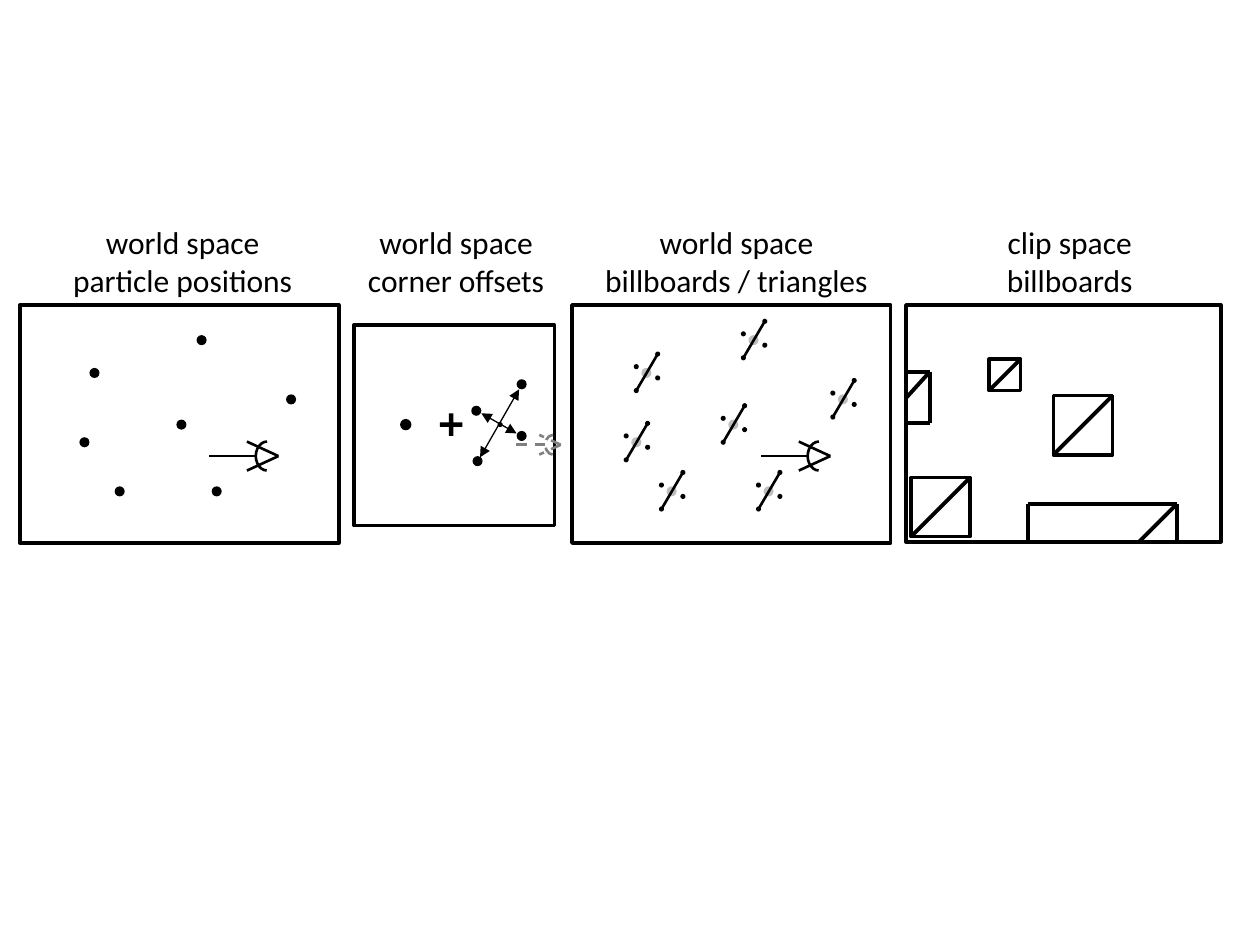
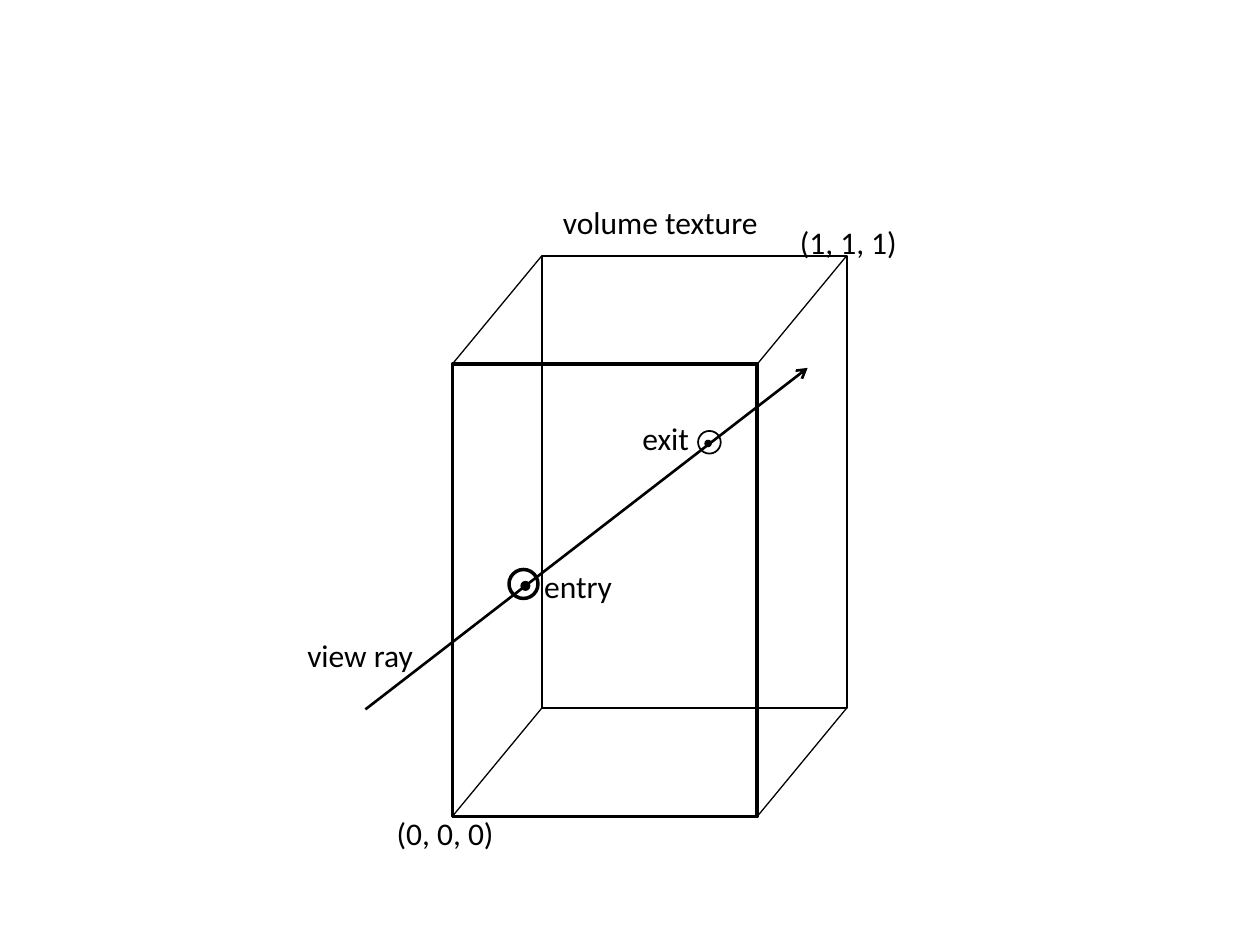
from dataclasses import dataclass
from pptx import Presentation
from pptx.dml.color import RGBColor
from pptx.enum.dml import MSO_LINE
from pptx.enum.shapes import MSO_CONNECTOR, MSO_SHAPE
from pptx.enum.text import MSO_AUTO_SIZE, PP_ALIGN
from pptx.oxml.ns import qn
from pptx.util import Pt
from lxml.etree import SubElement


@dataclass(frozen=True)
class Theme:
    ink: str = "000000"
    pale: str = "BFBFBF"
    gray: str = "808080"
    font: str = "Calibri"
    size: int = 18
    hair: float = 0.75
    thin: float = 1
    mid: float = 1.5
    bold: float = 2
    edge: float = 2.25


LOOK = Theme()
PX = 9144  # EMU in one px, 100 px to the inch
WIDE, HIGH = 1000, 750

# Slide 1: panels as left, top, width, height
WORLD = (16, 242, 253, 189)
OFFSET = (281, 258, 159, 159)
CLIP = (719, 242, 250, 188)
SHIFT = 438  # from the first world panel to the second
HEADS = [
    ("world space\vparticle positions", 47, 196),
    ("world space\vcorner offsets", 281, 162),
    ("world space\vbillboards / triangles", 469, 231),
    ("clip space\vbillboards", 789, 120),
]
HEAD_TOP, HEAD_HIGH = 172, 71

# Particle centres, and corners around each centre
SPOTS = [(144, 337), (75, 296), (67, 351), (95, 390),
         (160, 270), (172, 390), (231, 317)]
CORNERS = [(9, -15), (-8, 14), (9, 4), (-8, -5)]
BIG_CORNERS = [(414, 305), (379, 366), (414, 346), (378, 326)]
ARROWS = [((412, 309), (381, 363)), ((382, 328), (410, 344))]
EYE, SMALL_EYE = (221, 362), (445, 353)

# Clip space: whole squares, then outlines cut by the panel edge
SQUARES = [(836, 314, 47), (723, 379, 47), (785, 285, 25)]
CUTS = [
    [(816, 430), (816, 400), (934, 400), (934, 430)],
    [(934, 400), (904, 430)],
    [(719, 295), (738, 295), (738, 336), (719, 336)],
    [(738, 295), (719, 316)],
]

# Slide 2: the front face, its depth, the ray and its marks
FRONT = (359, 289, 242, 359)
DEPTH = (71, -86)
RAY = ((290, 563), (641, 292))
MARKS = [  # dot centre, dot size, ring centre, ring size, ring weight
    ((417, 465), 8, (415.5, 463.5), 23, LOOK.bold),
    ((562, 352), 6, (563, 351), 18, LOOK.thin),
]
LABELS = [
    ("view ray", 234, 500, 105),
    ("volume texture", 437, 156, 176),
    ("(0, 0, 0)", 305, 641, 98),
    ("(1, 1, 1)", 625, 172, 98),
    ("entry", 422, 445, 75),
    ("exit", 500, 328, 58),
]
LABEL_HIGH = 40


def emu(*vals):
    return [round(v * PX) for v in vals]


def paint(line, width, color=LOOK.ink, dash=False):
    line.color.rgb = RGBColor.from_string(color)
    line.width = Pt(width)
    if dash:
        line.dash_style = MSO_LINE.DASH


def form(slide, kind, box, fill=None, width=None, color=LOOK.ink, dash=False):
    item = slide.shapes.add_shape(kind, *emu(*box))
    item.shadow.inherit = False
    if fill:
        item.fill.solid()
        item.fill.fore_color.rgb = RGBColor.from_string(fill)
    else:
        item.fill.background()
    if width:
        paint(item.line, width, color, dash)
    else:
        item.line.fill.background()
    return item


def rect(slide, box, width=LOOK.bold):
    form(slide, MSO_SHAPE.RECTANGLE, box, width=width)


def disc(slide, mid, size, fill=LOOK.ink, width=None):
    x, y = mid
    form(slide, MSO_SHAPE.OVAL, (x - size / 2, y - size / 2, size, size), fill, width)


def link(slide, start, end, width=LOOK.mid, color=LOOK.ink, dash=False,
         head=None, tail=None):
    item = slide.shapes.add_connector(MSO_CONNECTOR.STRAIGHT, *emu(*start, *end))
    paint(item.line, width, color, dash)
    props = item._element.spPr
    for tag, tip in (("a:headEnd", head), ("a:tailEnd", tail)):
        if tip:
            SubElement(props.find(qn("a:ln")), qn(tag), type=tip)
    SubElement(props, qn("a:effectLst"))


def label(slide, text, box, align=PP_ALIGN.LEFT):
    frame = slide.shapes.add_textbox(*emu(*box)).text_frame
    frame.word_wrap = False
    frame.auto_size = MSO_AUTO_SIZE.SHAPE_TO_FIT_TEXT
    para = frame.paragraphs[0]
    para.text = text
    para.alignment = align
    for run in para.runs:
        run.font.name = LOOK.font
        run.font.size = Pt(LOOK.size)
        run.font.color.rgb = RGBColor.from_string(LOOK.ink)


def eye(slide, tip, scale=1.0, color=LOOK.ink, dash=False):
    def at(x, y):
        return tip[0] + x * scale, tip[1] + y * scale

    for start, end in [((0, 0), (-25, -11.5)), ((0, 0), (-25, 11.5)),
                       ((-18, 0), (-55, 0))]:
        link(slide, at(*start), at(*end), color=color, dash=dash)
    box = (*at(-18, -11.5), 18 * scale, 23 * scale)
    arc = form(slide, MSO_SHAPE.ARC, box, width=LOOK.mid, color=color, dash=dash)
    arc.adjustments[0], arc.adjustments[1] = 55, 162  # left half of the ellipse


def draw_world(slide, shift, cards):
    x, *rest = WORLD
    rect(slide, (x + shift, *rest))
    for sx, sy in SPOTS:
        mid = (sx + shift, sy)
        disc(slide, mid, 8, LOOK.pale if cards else LOOK.ink)
        if cards:
            ends = [(mid[0] + dx, mid[1] + dy) for dx, dy in CORNERS]
            for end in ends:
                disc(slide, end, 4)
            link(slide, ends[1], ends[0])
    eye(slide, (EYE[0] + shift, EYE[1]))


def draw_offset(slide):
    rect(slide, OFFSET)
    disc(slide, (322, 337), 9)
    eye(slide, SMALL_EYE, 0.68, LOOK.gray, True)
    for end in BIG_CORNERS:
        disc(slide, end, 8)
    for start, end in ARROWS:
        link(slide, start, end, LOOK.hair, head="triangle", tail="triangle")
    disc(slide, (397, 337), 4)
    plus = form(slide, MSO_SHAPE.CROSS, (349, 328, 18, 18), LOOK.ink)
    plus.adjustments[0] = 0.4


def draw_clip(slide):
    for x, y, side in SQUARES:
        rect(slide, (x, y, side, side))
        link(slide, (x, y + side), (x + side, y), LOOK.edge)
    rect(slide, CLIP)
    for cut in CUTS:
        for start, end in zip(cut, cut[1:]):
            link(slide, start, end, LOOK.edge)


def draw_volume(slide):
    x, y, wide, high = FRONT
    dx, dy = DEPTH
    rect(slide, FRONT)
    rect(slide, (x + dx, y + dy, wide, high), LOOK.thin)
    for cy in (y, y + high):
        for cx in (x, x + wide):
            link(slide, (cx, cy), (cx + dx, cy + dy), LOOK.hair)
    link(slide, *RAY, tail="arrow")
    for dot, size, mid, ring, width in MARKS:
        disc(slide, dot, size)
        disc(slide, mid, ring, None, width)
    for text, left, top, span in LABELS:
        label(slide, text, (left, top, span, LABEL_HIGH))


def main():
    deck = Presentation()
    deck.slide_width, deck.slide_height = emu(WIDE, HIGH)
    blank = deck.slide_layouts[6]

    # Billboard stages
    slide = deck.slides.add_slide(blank)
    draw_world(slide, 0, False)
    draw_world(slide, SHIFT, True)
    draw_offset(slide)
    draw_clip(slide)
    for text, left, span in HEADS:
        label(slide, text, (left, HEAD_TOP, span, HEAD_HIGH), PP_ALIGN.CENTER)

    # Ray through the volume
    draw_volume(deck.slides.add_slide(blank))
    deck.save("out.pptx")


if __name__ == "__main__":
    main()
